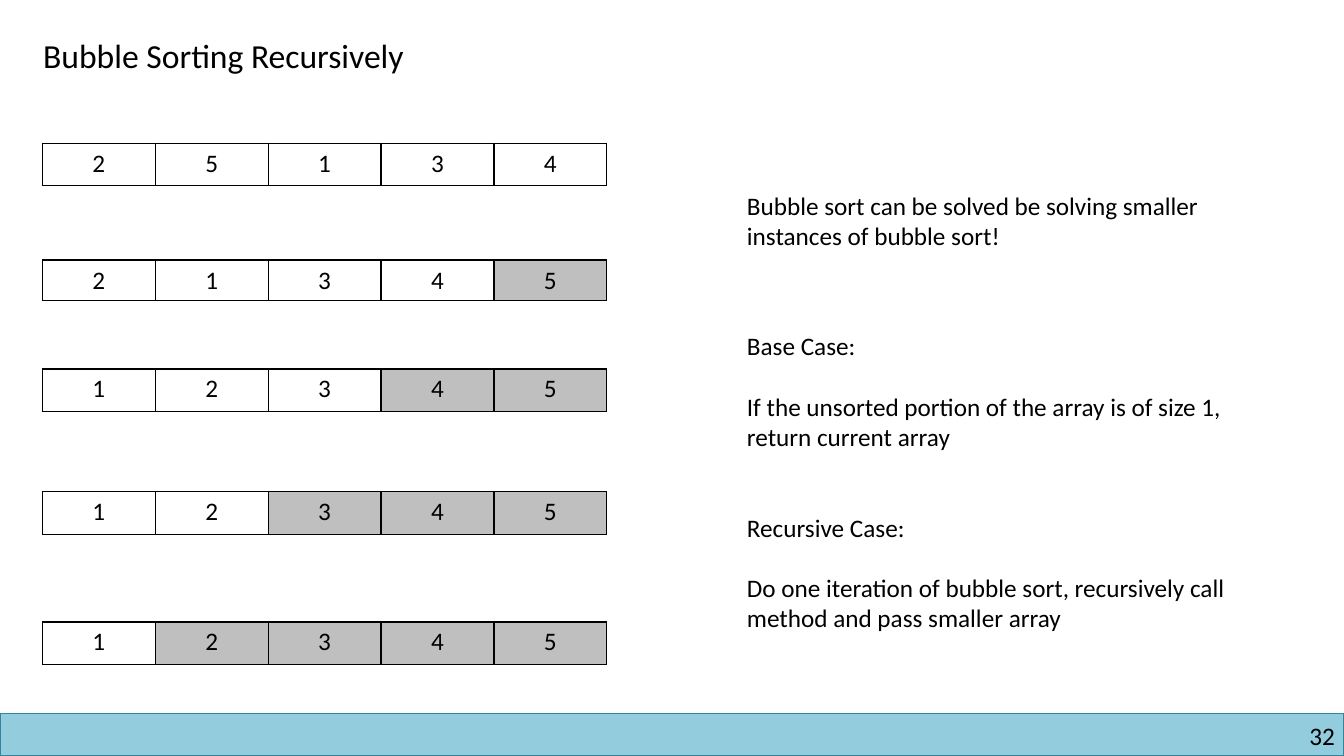
from lxml.etree import SubElement
from pptx import Presentation
from pptx.dml.color import RGBColor
from pptx.enum.shapes import MSO_SHAPE
from pptx.enum.text import MSO_AUTO_SIZE, PP_ALIGN
from pptx.oxml.ns import qn
from pptx.util import Inches, Pt

COLORS = {"text": "000000", "border": "000000", "unsorted": "FFFFFF",
          "sorted": "BFBFBF", "bar": "93CDDD", "bar_line": "31859C"}
WIDTH, HEIGHT = 13.33, 7.5
BAR_TOP = 7.08
ARRAY_LEFT, COLUMN_WIDTH = 0.42, 1.12
NOTES_LEFT = 7.31
BLANK_LINE = 21.6  # points

# Top, row height and values of the array after each pass
PASSES = [
    (1.42, 0.42, "25134"),
    (2.58, 0.40, "21345"),
    (3.66, 0.42, "12345"),
    (4.88, 0.42, "12345"),
    (6.17, 0.42, "12345"),
]

# Blank lines above each paragraph and its text
CASES = [
    (0, "Base Case:"),
    (1, "If the unsorted portion of the array is of size 1, return current array"),
    (2, "Recursive Case:"),
    (1, "Do one iteration of bubble sort, recursively call method and pass smaller array"),
]


def color(name):
    return RGBColor.from_string(COLORS[name])


def write(paragraph, text, size=18, align=PP_ALIGN.LEFT):
    paragraph.text = text
    paragraph.alignment = align
    formats = {"name": "Calibri", "size": Pt(size), "bold": False}
    for attribute, value in formats.items():
        setattr(paragraph.font, attribute, value)
    paragraph.font.color.rgb = color("text")


def add_text(slide, box, lines, size=18, align=PP_ALIGN.LEFT, **frame_formats):
    shape = slide.shapes.add_textbox(*map(Inches, box))
    frame = shape.text_frame
    formats = {"word_wrap": True, "auto_size": MSO_AUTO_SIZE.SHAPE_TO_FIT_TEXT}
    for attribute, value in {**formats, **frame_formats}.items():
        setattr(frame, attribute, value)
    for index, (gap, text) in enumerate(lines):
        paragraph = frame.add_paragraph() if index else frame.paragraphs[0]
        write(paragraph, text, size, align)
        if gap:
            paragraph.space_before = Pt(gap * BLANK_LINE)


def add_borders(cell):
    properties = cell._tc.get_or_add_tcPr()
    for position, side in enumerate(("lnL", "lnR", "lnT", "lnB")):
        line = SubElement(properties, qn(f"a:{side}"), w=str(Pt(1)))
        fill = SubElement(line, qn("a:solidFill"))
        SubElement(fill, qn("a:srgbClr"), val=COLORS["border"])
        properties.insert(position, line)  # borders come before the fill


def add_array(slide, top, height, values, sorted_count):
    count = len(values)
    table = slide.shapes.add_table(
        1, count, Inches(ARRAY_LEFT), Inches(top),
        Inches(count * COLUMN_WIDTH), Inches(height)).table
    table.first_row = table.horz_banding = False
    for index, value in enumerate(values):
        cell = table.cell(0, index)
        write(cell.text_frame.paragraphs[0], value, align=PP_ALIGN.CENTER)
        is_sorted = index >= count - sorted_count
        cell.fill.solid()
        cell.fill.fore_color.rgb = color("sorted" if is_sorted else "unsorted")
        add_borders(cell)


def add_footer(slide, number):
    bar = slide.shapes.add_shape(
        MSO_SHAPE.RECTANGLE, 0, Inches(BAR_TOP), Inches(WIDTH), Inches(HEIGHT - BAR_TOP))
    bar.shadow.inherit = False
    bar.fill.solid()
    bar.fill.fore_color.rgb = color("bar")
    bar.line.color.rgb = color("bar_line")
    bar.line.width = Pt(1)
    add_text(slide, (10.17, 7.15, 3.07, 0.3), [(0, number)], align=PP_ALIGN.RIGHT,
             margin_left=0, margin_right=0, margin_top=0, margin_bottom=0)


def main():
    presentation = Presentation()
    presentation.slide_width = Inches(WIDTH)
    presentation.slide_height = Inches(HEIGHT)
    slide = presentation.slides.add_slide(presentation.slide_layouts[6])

    add_footer(slide, "32")

    # Each pass sorts one more value at the end of the array
    for sorted_count, (top, height, values) in enumerate(PASSES):
        add_array(slide, top, height, values, sorted_count)

    # Explanation and title
    add_text(slide, (NOTES_LEFT, 1.84, 5.08, 0.71),
             [(0, "Bubble sort can be solved be solving smaller instances of bubble sort!")])
    add_text(slide, (NOTES_LEFT, 3.23, 5.22, 3.13), CASES)
    add_text(slide, (0.33, 0.3, 4.25, 0.5), [(0, "Bubble Sorting Recursively")],
             size=24, word_wrap=False)

    presentation.save("out.pptx")


if __name__ == "__main__":
    main()
